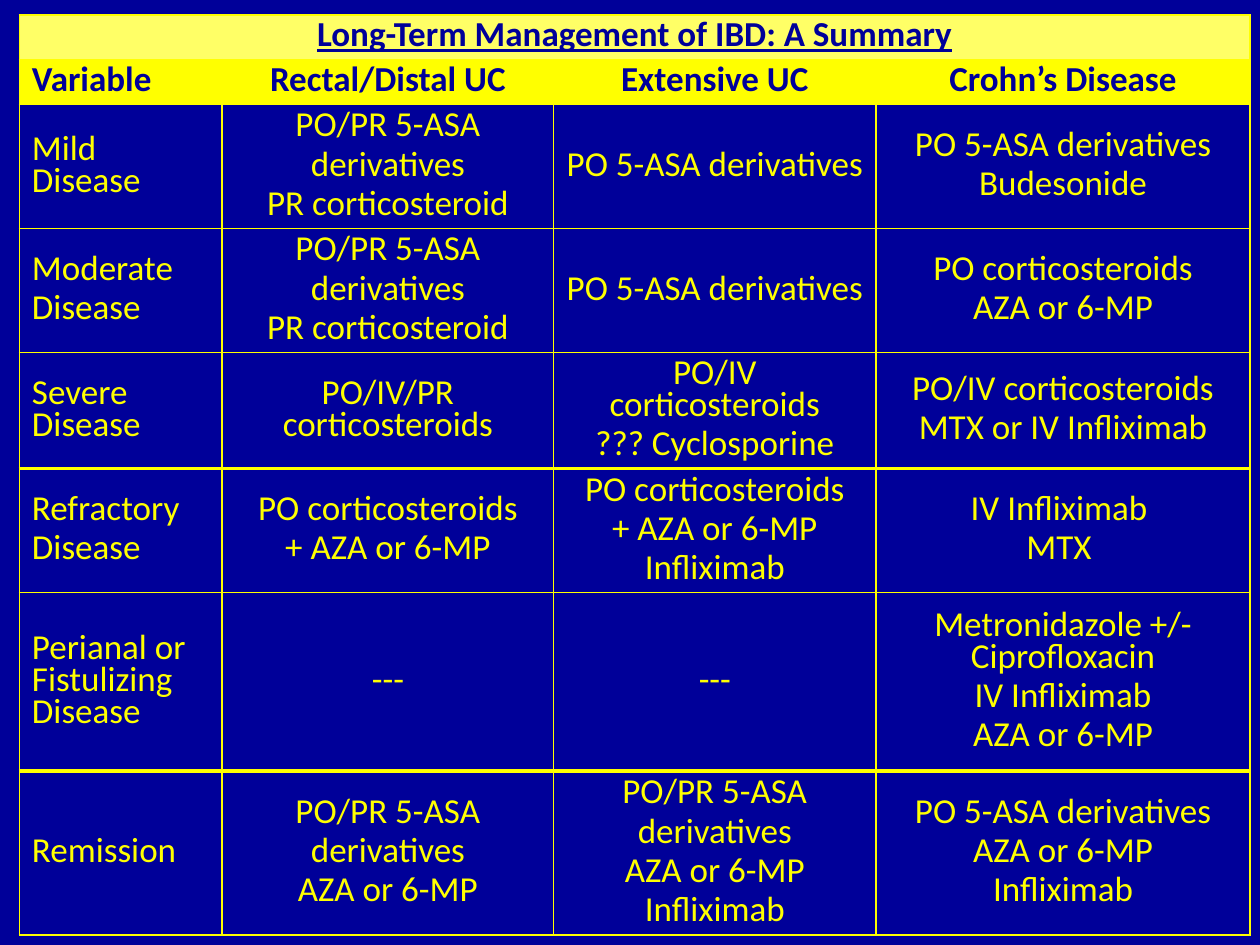
from dataclasses import dataclass

from lxml import etree
from pptx import Presentation
from pptx import util as u
from pptx.dml.color import RGBColor
from pptx.enum import text
from pptx.oxml import ns
from pptx.table import _Cell

NAVY = RGBColor(0x00, 0x00, 0x99)
YELLOW = RGBColor(0xFF, 0xFF, 0x00)
PALE_YELLOW = RGBColor(0xFF, 0xFF, 0x66)

THIN = u.Pt(1)
THICK = u.Pt(2.25)
COLUMN_WIDTHS = (4.09, 6.68, 6.5, 7.54)
HEADER_HEIGHT = 0.9
TITLE = "Long-Term Management of IBD: A Summary"
HEADINGS = ("Variable", "Rectal/Distal UC", "Extensive UC", "Crohn’s Disease")


@dataclass(frozen=True)
class Style:
    fill: RGBColor
    ink: RGBColor
    anchor: text.MSO_ANCHOR
    bold: bool = False
    underline: bool = False


@dataclass(frozen=True)
class Treatment:
    height: float
    entries: tuple[str, str, str, str]
    thick_top: bool = False
    thick_bottom: bool = False


TITLE_STYLE = Style(PALE_YELLOW, NAVY, text.MSO_ANCHOR.TOP, bold=True, underline=True)
HEADING_STYLE = Style(YELLOW, NAVY, text.MSO_ANCHOR.TOP, bold=True)
BODY_STYLE = Style(NAVY, YELLOW, text.MSO_ANCHOR.MIDDLE)

ASA_ENEMA = "PO/PR 5-ASA\nderivatives\nPR corticosteroid"
ASA_ORAL = "PO 5-ASA derivatives"
STEROIDS_PLUS = "PO corticosteroids\n+ AZA or 6-MP"

TREATMENTS = (
    Treatment(2.5, ("Mild Disease", ASA_ENEMA, ASA_ORAL, f"{ASA_ORAL}\nBudesonide")),
    Treatment(2.5, ("Moderate\nDisease", ASA_ENEMA, ASA_ORAL,
                    "PO corticosteroids\nAZA or 6-MP")),
    Treatment(2.34, ("Severe Disease", "PO/IV/PR corticosteroids",
                     "PO/IV corticosteroids\n??? Cyclosporine",
                     "PO/IV corticosteroids\nMTX or IV Infliximab"),
              thick_bottom=True),
    Treatment(2.5, ("Refractory\nDisease", STEROIDS_PLUS,
                    f"{STEROIDS_PLUS}\nInfliximab", "IV Infliximab \nMTX "),
              thick_top=True),
    Treatment(3.6, ("Perianal or Fistulizing Disease", "---", "---",
                    "Metronidazole +/- Ciprofloxacin\nIV Infliximab\nAZA or 6-MP"),
              thick_bottom=True),
    Treatment(3.3, ("Remission", "PO/PR 5-ASA\nderivatives\nAZA or 6-MP",
                    "PO/PR 5-ASA\nderivatives\nAZA or 6-MP\nInfliximab",
                    f"{ASA_ORAL}\nAZA or 6-MP\nInfliximab"),
              thick_top=True),
)


def set_borders(cell: _Cell, top: int = THIN, bottom: int = THIN) -> None:
    properties = cell._tc.get_or_add_tcPr()
    for side, width in (("L", THIN), ("R", THIN), ("T", top), ("B", bottom)):
        line = etree.SubElement(properties, ns.qn(f"a:ln{side}"), w=str(int(width)))
        fill = etree.SubElement(line, ns.qn("a:solidFill"))
        etree.SubElement(fill, ns.qn("a:srgbClr"), val=str(YELLOW))


def write_cell(cell: _Cell, wording: str, style: Style, centred: bool) -> None:
    cell.fill.solid()
    cell.fill.fore_color.rgb = style.fill
    cell.vertical_anchor = style.anchor
    for index, line in enumerate(wording.split("\n")):
        frame = cell.text_frame
        para = frame.add_paragraph() if index else frame.paragraphs[0]
        para.alignment = text.PP_ALIGN.CENTER if centred else text.PP_ALIGN.LEFT
        para.line_spacing = 0.75
        para.space_before = u.Pt(4 if index else 0)
        span = para.add_run()
        span.text = line
        span.font.name = "Calibri"
        span.font.size = u.Pt(20)
        span.font.bold = style.bold
        span.font.underline = style.underline
        span.font.color.rgb = style.ink


def main() -> None:
    deck = Presentation()
    deck.slide_width, deck.slide_height = u.Cm(25.4), u.Cm(19.05)
    page = deck.slides.add_slide(deck.slide_layouts[6])
    page.background.fill.solid()
    page.background.fill.fore_color.rgb = NAVY

    heights = [HEADER_HEIGHT] * 2 + [treatment.height for treatment in TREATMENTS]
    table = page.shapes.add_table(
        len(heights), len(COLUMN_WIDTHS), u.Cm(0.39), u.Cm(0.3),
        u.Cm(sum(COLUMN_WIDTHS)), u.Cm(sum(heights))).table
    table.first_row = table.horz_banding = False
    for column, width in zip(table.columns, COLUMN_WIDTHS):
        column.width = u.Cm(width)
    for row, height in zip(table.rows, heights):
        row.height = u.Cm(height)

    title = table.cell(0, 0)
    title.merge(table.cell(0, len(COLUMN_WIDTHS) - 1))
    set_borders(title)
    write_cell(title, TITLE, TITLE_STYLE, centred=True)

    for column, heading in enumerate(HEADINGS):
        cell = table.cell(1, column)
        set_borders(cell)
        write_cell(cell, heading, HEADING_STYLE, centred=column > 0)

    for row, treatment in enumerate(TREATMENTS, start=2):
        for column, entry in enumerate(treatment.entries):
            cell = table.cell(row, column)
            set_borders(cell, THICK if treatment.thick_top else THIN,
                        THICK if treatment.thick_bottom else THIN)
            write_cell(cell, entry, BODY_STYLE, centred=column > 0)

    deck.save("out.pptx")


if __name__ == "__main__":
    main()
